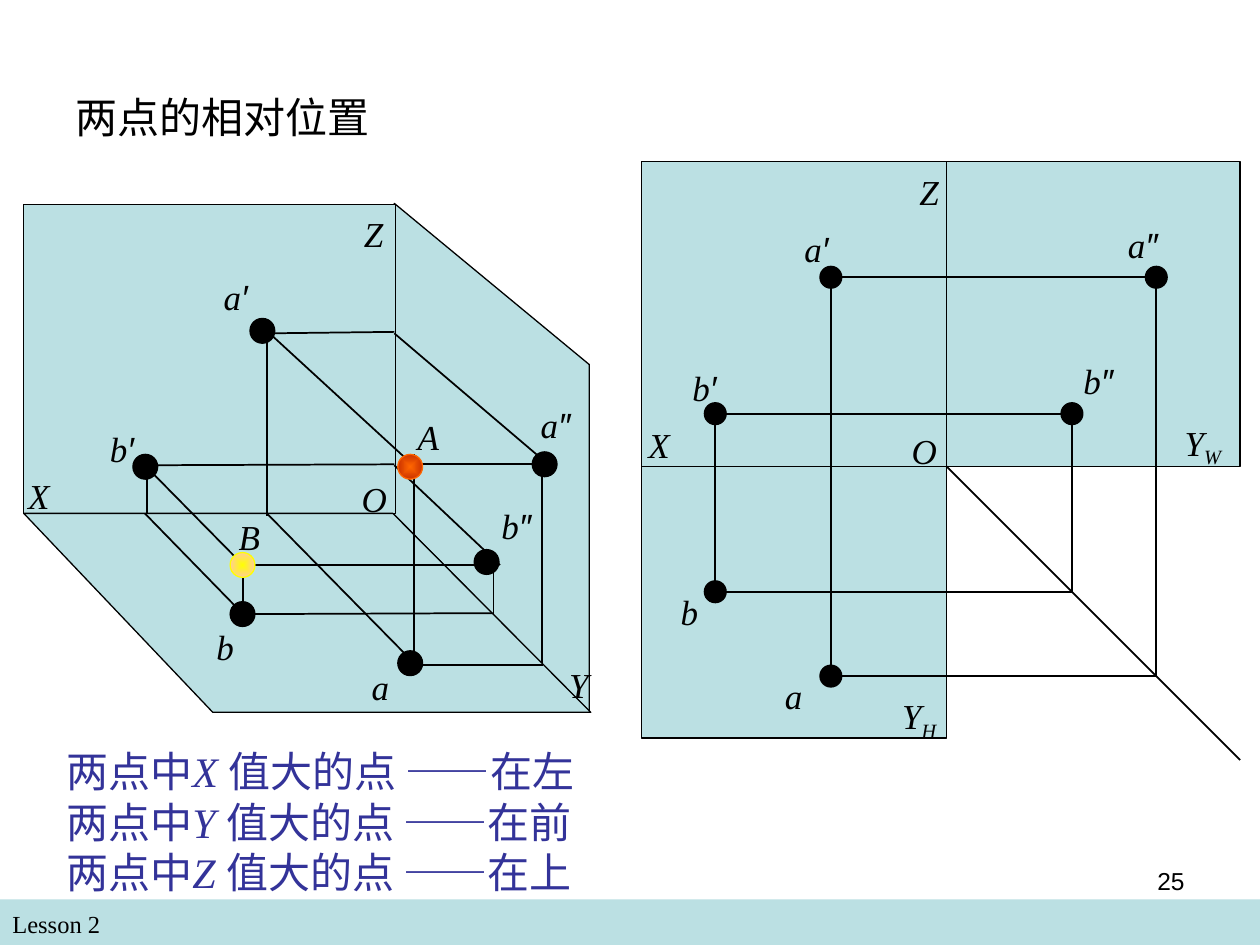
from lxml import etree
from pptx import Presentation
from pptx.dml.color import RGBColor
from pptx.enum.shapes import MSO_CONNECTOR, MSO_SHAPE
from pptx.enum.text import MSO_ANCHOR, PP_ALIGN
from pptx.oxml.ns import qn
from pptx.util import Cm, Pt

STRAIGHT = MSO_CONNECTOR.STRAIGHT
RECTANGLE, OVAL = MSO_SHAPE.RECTANGLE, MSO_SHAPE.OVAL
TOP, MIDDLE = MSO_ANCHOR.TOP, MSO_ANCHOR.MIDDLE
LEFT, CENTER, RIGHT = PP_ALIGN.LEFT, PP_ALIGN.CENTER, PP_ALIGN.RIGHT
SERIF, SANS, CHINESE = "Times New Roman", "Arial", "Noto Sans CJK SC"
BLACK, PLANE, INDIGO = "000000", "BBE0E3", "333399"


def color(value):
    return RGBColor.from_string(value)


def style_run(span, font, size, ink, italic=False):
    span.font.name = font
    span.font.size = Pt(size)
    span.font.italic = italic
    span.font.color.rgb = color(ink)
    east_asian = etree.SubElement(span.font._element, qn("a:ea"))
    east_asian.set("typeface", font)


def add_text(page, left, top, width, height, anchor=TOP, wrap=True):
    box = page.shapes.add_textbox(Cm(left), Cm(top), Cm(width), Cm(height))
    box.text_frame.word_wrap = wrap
    box.text_frame.vertical_anchor = anchor
    return box.text_frame


def add_line_of_text(page, bounds, text, font, size, anchor=TOP, align=LEFT):
    frame = add_text(page, *bounds, anchor=anchor)
    frame.text = text
    para = frame.paragraphs[0]
    para.alignment = align
    style_run(para.runs[0], font, size, BLACK)


def finish_shape(shape, fill, outline):
    shape.shadow.inherit = False
    shape.fill.solid()
    shape.fill.fore_color.rgb = color(fill)
    if outline:
        shape.line.color.rgb = color(outline)
        shape.line.width = Pt(0.75)
    else:
        shape.line.fill.background()


def glow_from_centre(shape, inner, outer):
    shape.fill.gradient()
    for stop, value in zip(shape.fill.gradient_stops, (inner, outer)):
        stop.color.rgb = color(value)
    gradient = shape._element.spPr.find(qn("a:gradFill"))
    gradient.remove(gradient.find(qn("a:lin")))
    spread = etree.SubElement(gradient, qn("a:path"))
    spread.set("path", "rect")
    centre = etree.SubElement(spread, qn("a:fillToRect"))
    for side in "ltrb":
        centre.set(side, "50000")


class Diagram:
    def __init__(self, page, left, top, dot_size):
        self.page, self.left, self.top = page, left, top
        self.dot_size = dot_size

    def rectangle(self, x, y, width, height):
        shape = self.page.shapes.add_shape(
            RECTANGLE, Cm(self.left + x), Cm(self.top + y), Cm(width), Cm(height))
        finish_shape(shape, PLANE, BLACK)

    def polygon(self, corners):
        points = [(Cm(self.left + x), Cm(self.top + y)) for x, y in corners]
        builder = self.page.shapes.build_freeform(*points[0])
        builder.add_line_segments(points[1:], close=True)
        finish_shape(builder.convert_to_shape(), PLANE, BLACK)

    def line(self, x1, y1, x2, y2, width=1):
        edge = self.page.shapes.add_connector(
            STRAIGHT, Cm(self.left + x1), Cm(self.top + y1),
            Cm(self.left + x2), Cm(self.top + y2))
        edge.line.color.rgb = color(BLACK)
        edge.line.width = Pt(width)
        etree.SubElement(edge._element.spPr, qn("a:effectLst"))

    def dot(self, x, y, fill=BLACK, outline=BLACK):
        size = self.dot_size
        shape = self.page.shapes.add_shape(
            OVAL, Cm(self.left + x - size / 2), Cm(self.top + y - size / 2),
            Cm(size), Cm(size))
        finish_shape(shape, fill, outline)
        return shape

    def label(self, text, x, y):
        width, height = 0.9 + 0.35 * (len(text) - 1), 1.12
        frame = add_text(self.page, self.left + x - width / 2,
                         self.top + y - height / 2, width, height, MIDDLE, False)
        para = frame.paragraphs[0]
        para.alignment = CENTER
        for mark in text:
            span = para.add_run()
            span.text = mark
            style_run(span, SANS if mark in "′″" else SERIF, 20, BLACK, True)
            if mark in "WH":
                span.font._element.set("baseline", "-25000")


def add_space_view(page, left, top):
    view = Diagram(page, left, top, 0.5)
    view.polygon([(7.47, 0), (11.4, 3.25), (11.4, 10.24), (7.44, 6.25)])
    view.rectangle(0, 0.03, 7.49, 6.22)
    view.polygon([(0, 6.25), (3.81, 10.26), (11.43, 10.26), (7.44, 6.25)])
    for edge in [
        (10.44, 9.27, 10.44, 5.26), (7.87, 5.26, 10.57, 5.26),
        (4.9, 2.62, 7.47, 2.59), (7.8, 9.3, 10.46, 9.3),
        (10.57, 5.26, 7.47, 2.62), (4.9, 2.57, 4.9, 6.3),
        (4.9, 6.25, 7.87, 9.27), (7.87, 9.27, 7.87, 5.05),
        (7.85, 5.28, 4.9, 2.57), (2.49, 5.26, 2.49, 6.25),
        (9.47, 7.29, 9.47, 8.28, 0.75), (4.42, 7.29, 4.42, 8.28),
        (2.44, 6.25, 4.42, 8.28), (4.42, 8.28, 9.45, 8.26),
        (2.44, 5.28, 7.47, 5.26), (7.47, 5.28, 9.6, 7.29),
        (9.58, 7.29, 4.42, 7.29), (4.42, 7.29, 2.44, 5.28),
    ]:
        view.line(*edge)
    for centre in [(10.5, 5.26), (7.79, 9.27), (4.81, 2.57),
                   (4.41, 8.28), (9.33, 7.23), (2.45, 5.31)]:
        view.dot(*centre)
    for x, y, inner, outer in [(4.41, 7.29, "FFFF00", "FFCC99"),
                               (7.79, 5.31, "FF6600", "CC3300")]:
        glow_from_centre(view.dot(x, y, inner, inner), inner, outer)
    for text, x, y in [
        ("X", 0.29, 5.89), ("O", 7.01, 5.94), ("Z", 7.05, 0.61), ("Y", 11.19, 9.7),
        ("a″", 10.72, 4.45), ("a′", 4.27, 1.88), ("a", 7.19, 9.73),
        ("b″", 9.93, 6.5), ("b′", 1.98, 4.95), ("b", 4.06, 8.94),
        ("B", 4.53, 6.71), ("A", 8.14, 4.7),
    ]:
        view.label(text, x, y)


def add_projection_view(page, left, top):
    view = Diagram(page, left, top, 0.44)
    origin, far = 6.15, 12.07
    view.rectangle(0, 0, origin, 11.63)
    view.rectangle(origin, 0, far - origin, origin)
    view.line(0, origin, origin, origin, 0.75)
    view.line(origin, origin, far, far)
    for x, front, depth in [(3.82, 2.34, 10.38), (1.49, 5.09, 8.68)]:
        corners = [(x, depth), (x, front), (depth, front), (depth, depth)]
        for start, end in zip(corners, corners[1:] + corners[:1]):
            view.line(*start, *end)
        for corner in corners[:3]:
            view.dot(*corner)
    for text, x, y in [
        ("X", 0.34, 5.72), ("Z", 5.8, 0.61), ("YW", 11.32, 5.72),
        ("YH", 5.6, 11.23), ("O", 5.65, 5.84),
        ("a′", 3.53, 1.75), ("a″", 10.11, 1.68), ("a", 3.07, 10.77),
        ("b′", 1.27, 4.57), ("b″", 9.21, 4.42), ("b", 0.97, 9.07),
    ]:
        view.label(text, x, y)


def add_rules(page, left, top, width, height):
    frame = add_text(page, left, top, width, height, MIDDLE)
    for index, (axis, side) in enumerate(zip("XYZ", "左前上")):
        para = frame.add_paragraph() if index else frame.paragraphs[0]
        for text, font in [("两点中", CHINESE), (f"{axis} ", SERIF),
                           (f"值大的点 ——在{side}", CHINESE)]:
            span = para.add_run()
            span.text = text
            style_run(span, font, 24, INDIGO, font == SERIF)


def add_footer(page, left, top, width, height):
    band = page.shapes.add_shape(RECTANGLE, Cm(left), Cm(top), Cm(width), Cm(height))
    finish_shape(band, PLANE, None)
    add_line_of_text(page, (left, top + 0.07, 12.27, 0.86), "Lesson 2", SERIF, 14)
    add_line_of_text(page, (left + 18.21, top - 0.79, 5.92, 1.32), "25", SANS, 14,
                     align=RIGHT)


def main():
    deck = Presentation()
    deck.slide_width, deck.slide_height = Cm(25.4), Cm(19.05)
    page = deck.slides.add_slide(deck.slide_layouts[6])
    add_footer(page, 0, 18.13, 25.4, 0.92)
    add_line_of_text(page, (1.27, 0.76, 22.86, 3.18), "两点的相对位置", CHINESE, 24, MIDDLE)
    add_space_view(page, 0.48, 4.1)
    add_projection_view(page, 12.93, 3.25)
    add_rules(page, 1.09, 14.91, 12.4, 3.3)
    deck.save("out.pptx")


if __name__ == "__main__":
    main()
